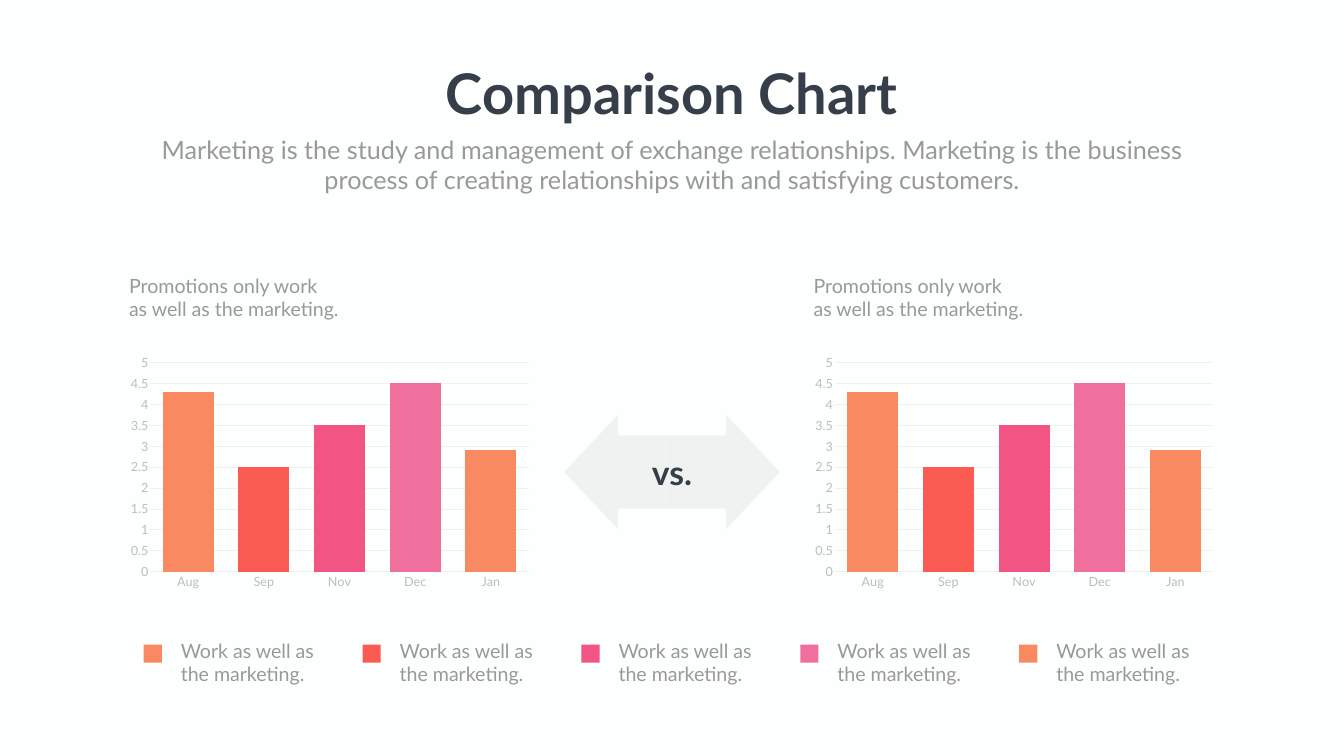
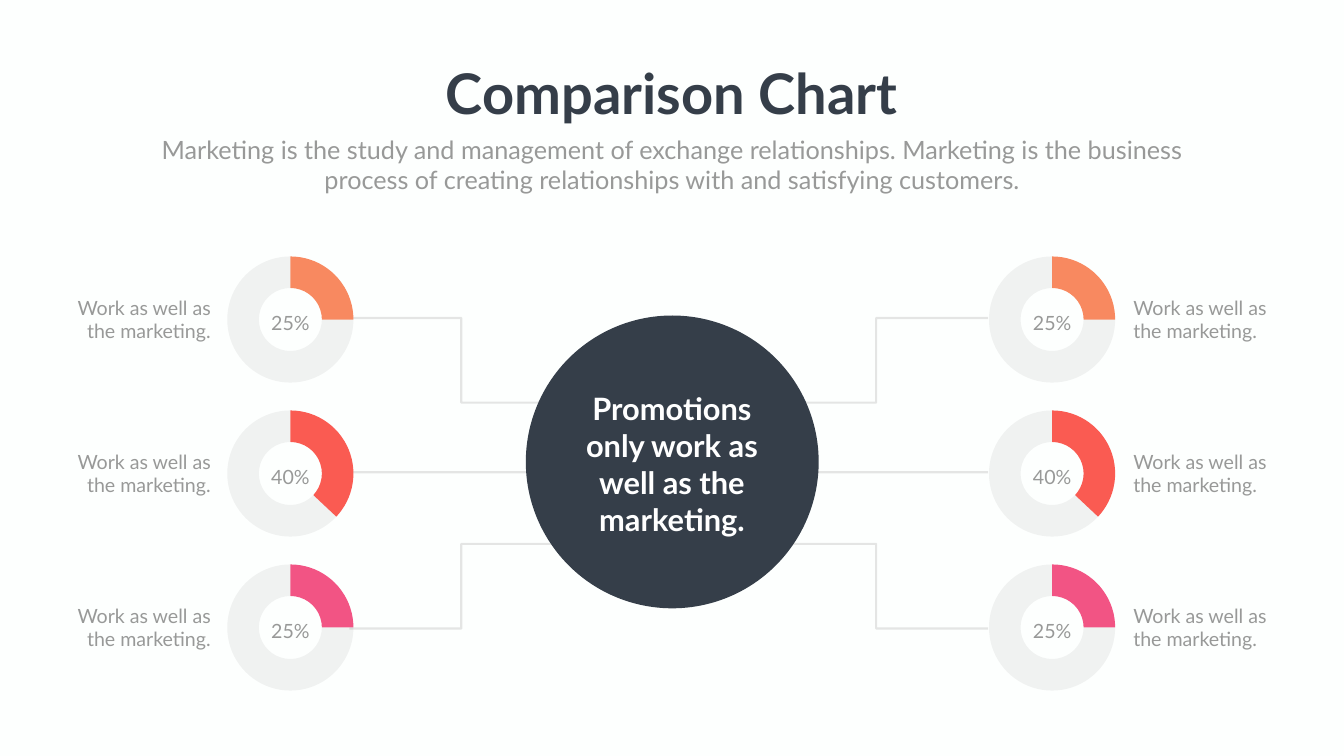
import lxml.etree
import pptx
import pptx.chart.data
import pptx.dml.color
import pptx.enum.chart
import pptx.enum.shapes
import pptx.enum.text
import pptx.oxml
import pptx.oxml.ns
import pptx.util

Pt = pptx.util.Pt
RGBColor = pptx.dml.color.RGBColor
Shape = pptx.enum.shapes.MSO_SHAPE
Connector = pptx.enum.shapes.MSO_CONNECTOR
Align = pptx.enum.text.PP_ALIGN
ChartType = pptx.enum.chart.XL_CHART_TYPE
qn = pptx.oxml.ns.qn

PAPER = RGBColor(0xFD, 0xFF, 0xFE)
WHITE = RGBColor(0xFF, 0xFF, 0xFF)
NAVY = RGBColor(0x35, 0x3E, 0x49)
TEXT_GREY = RGBColor(0x98, 0x99, 0x98)
AXIS_GREY = RGBColor(0xBC, 0xBD, 0xBC)
GRID_GREY = RGBColor(0xF0, 0xF0, 0xF0)
VEIL_GREY = RGBColor(0x80, 0x80, 0x80)
ORANGE = RGBColor(0xF8, 0x89, 0x60)
RED = RGBColor(0xFA, 0x5B, 0x52)
PINK = RGBColor(0xF2, 0x54, 0x84)
ROSE = RGBColor(0xEF, 0x70, 0x9D)

FONT = "Lato"
LABEL = "Work as well as the marketing."
LABEL_INSETS = (17.28, 8.64)
BAR_COLORS = (ORANGE, RED, PINK, ROSE, ORANGE)


def fade(element, percent):
    """Make every veil-grey colour inside the element see-through."""
    for color in element.iter(qn("a:srgbClr")):
        if color.get("val") == str(VEIL_GREY):
            alpha = lxml.etree.SubElement(color, qn("a:alpha"))
            alpha.set("val", str(percent * 1000))


class Deck:
    def __init__(self):
        self.presentation = pptx.Presentation()
        self.presentation.slide_width = Pt(1919.52)
        self.presentation.slide_height = Pt(1080)
        self.slide = None

    def new_slide(self):
        self.slide = self.presentation.slides.add_slide(self.presentation.slide_layouts[6])
        self.slide.background.fill.solid()
        self.slide.background.fill.fore_color.rgb = PAPER

    def text(self, box, *lines, size=28, color=TEXT_GREY, bold=False,
             align=Align.LEFT, insets=(7.2, 3.6), wrap=True):
        text_box = self.slide.shapes.add_textbox(*map(Pt, box))
        frame = text_box.text_frame
        frame.word_wrap = wrap
        frame.auto_size = pptx.enum.text.MSO_AUTO_SIZE.SHAPE_TO_FIT_TEXT
        frame.margin_left = frame.margin_right = Pt(insets[0])
        frame.margin_top = frame.margin_bottom = Pt(insets[1])
        for index, line in enumerate(lines):
            paragraph = frame.add_paragraph() if index else frame.paragraphs[0]
            paragraph.alignment = align
            run = paragraph.add_run()
            run.text = line
            run.font.name = FONT
            run.font.size = Pt(size)
            run.font.bold = bold
            run.font.color.rgb = color

    def header(self):
        self.text((624.24, 80.64, 670.32, 104.4), "Comparison Chart", size=80,
                  color=NAVY, bold=True, align=Align.CENTER, wrap=False)
        self.text((210.24, 187.92, 1499.04, 94.32),
                  "Marketing is the study and management of exchange relationships. "
                  "Marketing is the business process of creating relationships with "
                  "and satisfying customers.", size=36, align=Align.CENTER)

    def shape(self, kind, box, color):
        shape = self.slide.shapes.add_shape(kind, *map(Pt, box))
        shape.shadow.inherit = False
        shape.fill.solid()
        shape.fill.fore_color.rgb = color
        shape.line.fill.background()
        fade(shape.element, 10)
        return shape

    def connector(self, kind, start, end):
        connector = self.slide.shapes.add_connector(kind, *map(Pt, start + end))
        connector.line.color.rgb = VEIL_GREY
        connector.line.width = Pt(3)
        fade(connector.element, 20)
        lxml.etree.SubElement(connector.element.spPr, qn("a:effectLst"))

    def chart(self, kind, box, categories, values, colors, font, size):
        data = pptx.chart.data.CategoryChartData()
        data.categories = categories
        data.add_series("Series 1", values)
        chart = self.slide.shapes.add_chart(kind, *map(Pt, box), data).chart
        chart.has_legend = False
        chart.has_title = False
        chart.font.name = font
        chart.font.size = Pt(size)
        chart.font.color.rgb = TEXT_GREY
        chart.plots[0].vary_by_categories = False
        series = chart.plots[0].series[0]
        series.format.fill.solid()
        series.format.fill.fore_color.rgb = colors[0]
        for index, color in enumerate(colors):
            point = series.points[index].format
            point.fill.solid()
            point.fill.fore_color.rgb = color
            point.line.fill.background()
        return chart

    def bar_chart(self, left, top):
        chart = self.chart(ChartType.COLUMN_CLUSTERED, (left, top, 591.84, 348.48),
                           ("Aug", "Sep", "Nov", "Dec", "Jan"),
                           (4.3, 2.5, 3.5, 4.5, 2.9), BAR_COLORS, FONT, 18)
        chart.plots[0].gap_width = 48
        chart.plots[0].overlap = -27
        for axis in (chart.category_axis, chart.value_axis):
            axis.major_tick_mark = axis.minor_tick_mark = pptx.enum.chart.XL_TICK_MARK.NONE
            axis.tick_labels.font.name = FONT
            axis.tick_labels.font.size = Pt(18)
            axis.tick_labels.font.color.rgb = AXIS_GREY
        values = chart.value_axis
        values.minimum_scale, values.maximum_scale, values.major_unit = 0, 5, 0.5
        values.format.line.fill.background()
        values.has_major_gridlines = True
        for line in (chart.category_axis.format.line, values.major_gridlines.format.line):
            line.color.rgb = GRID_GREY
            line.width = Pt(0.75)

    def doughnut(self, left, top, share, color):
        chart = self.chart(ChartType.DOUGHNUT, (left, top, 214.56, 201.6), ("1", "2"),
                           (share, 100 - share), (color, VEIL_GREY), "Calibri", 10)
        chart.plots[0].has_data_labels = False
        fade(chart.element, 10)
        next(chart.element.iter(qn("c:holeSize"))).set("val", "80")
        plot_area = next(chart.element.iter(qn("c:plotArea")))
        for layout in plot_area.findall(qn("c:layout")):
            plot_area.remove(layout)
        layout = lxml.etree.Element(qn("c:layout"))
        manual = lxml.etree.SubElement(layout, qn("c:manualLayout"))
        settings = (("layoutTarget", "inner"), ("xMode", "edge"), ("yMode", "edge"),
                    ("x", "0.08"), ("y", "0.05"), ("w", "0.84"), ("h", "0.9"))
        for name, value in settings:
            lxml.etree.SubElement(manual, qn("c:" + name)).set("val", value)
        plot_area.insert(0, layout)


def build_bar_comparison(deck):
    deck.new_slide()
    deck.header()
    for left in (175, 1152.72):
        deck.bar_chart(left, 499.68)
        deck.text((left + 2.16, 387.36, 351.36, 74.88),
                  "Promotions only work", "as well as the marketing.")

    for left, rotation in ((805.68, 0), (959.76, 180)):
        arrow = deck.shape(Shape.LEFT_ARROW, (left, 592.56, 154.08, 163.44), VEIL_GREY)
        arrow.adjustments[0] = 0.64
        arrow.adjustments[1] = 0.5
        arrow.rotation = rotation
    deck.text((920.16, 641.52, 79.2, 65.52), "vs.", size=48, color=NAVY, bold=True,
              align=Align.CENTER)

    for index, color in enumerate(BAR_COLORS):
        left = 205.2 + index * 312.6
        deck.text((left + 35.7, 903.6, 266.4, 84.96), LABEL, insets=LABEL_INSETS)
        deck.shape(Shape.RECTANGLE, (left, 920.88, 25.92, 25.92), color)


def build_doughnut_comparison(deck):
    deck.new_slide()
    mirror_sum = 1910.16
    for mirrored in (False, True):
        outer, hub_side, hub_corner = (
            mirror_sum - x if mirrored else x for x in (498.96, 796.32, 818.64))
        deck.connector(Connector.STRAIGHT, (outer, 674.64), (hub_side, 674.64))
        for outer_y, hub_y in ((454.32, 575.28), (897.84, 776.88)):
            deck.connector(Connector.ELBOW, (outer, outer_y), (hub_corner, hub_y))
    deck.header()

    rows = ((25, "25%", ORANGE), (37, "40%", RED), (25, "25%", PINK))
    sides = ((307.44, 87.12, Align.RIGHT), (1395.36, 1601.28, Align.LEFT))
    for chart_left, label_left, align in sides:
        for index, (share, caption, color) in enumerate(rows):
            top = 355.68 + index * 220
            deck.doughnut(chart_left, top, share, color)
            deck.text((chart_left + 56.6, top + 85, 101.52, 32.4), caption,
                      align=Align.CENTER)
            deck.text((label_left, top + 58.3, 231.12, 84.96), LABEL, align=align,
                      insets=LABEL_INSETS)

    deck.shape(Shape.OVAL, (750.96, 450.72, 418.32, 418.32), NAVY)
    deck.text((812.88, 553.68, 293.76, 220.32),
              "Promotions only work as well as the marketing.", size=44, color=WHITE,
              bold=True, align=Align.CENTER)


def main():
    deck = Deck()
    build_bar_comparison(deck)
    build_doughnut_comparison(deck)
    deck.presentation.save("out.pptx")


if __name__ == "__main__":
    main()
